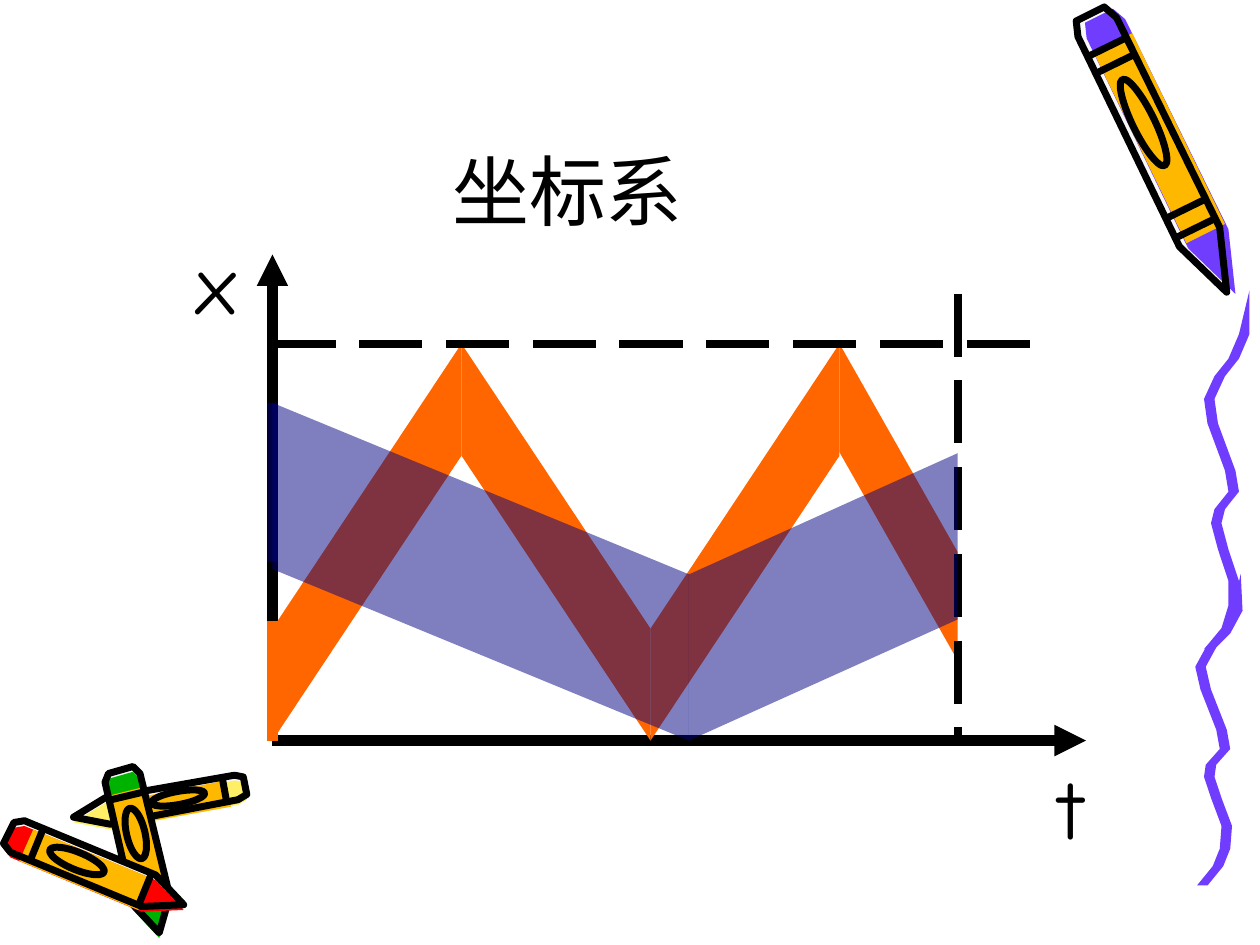
"""Build a slide with two zigzag bands in an x-t coordinate system, framed by crayons."""
from math import atan2, degrees, hypot
from lxml.etree import SubElement
from pptx import Presentation
from pptx.dml.color import RGBColor
from pptx.enum.dml import MSO_LINE as Dash
from pptx.enum.shapes import MSO_CONNECTOR as Connector, MSO_SHAPE as Shape
from pptx.enum.text import MSO_ANCHOR as Anchor, MSO_AUTO_SIZE as AutoSize, PP_ALIGN as Align
from pptx.oxml.ns import qn
from pptx.util import Pt

BLACK, ORANGE, NAVY = "000000", "FF6600", "000080"
PURPLE, AMBER, PALE = "703DFF", "FFB800", "F8F8F8"
YELLOW, RED, GREEN = "FFEF66", "FF0000", "00B200"
FONT = "Comic Neue"

TITLE = ("坐标系", (54, 12.24, 540.72, 126))
AXIS_LABELS = [("t", (598.3, 428.4, 67.7, 64.8)), ("x", (105.1, 128.2, 67.7, 64.8))]

ORIGIN_X, BASE_Y, PEAK_Y, END_X = 155.7, 423.2, 196.4, 547.2
AXES = [
    dict(ends=(ORIGIN_X, BASE_Y, 620.6, BASE_Y), arrow=True),
    dict(ends=(ORIGIN_X, BASE_Y, ORIGIN_X, 145.4), arrow=True),
]
LIMITS = [
    dict(ends=(ORIGIN_X, PEAK_Y, 592.6, PEAK_Y), width=4.5, dash=Dash.LONG_DASH),
    dict(ends=(END_X, 167.8, END_X, BASE_Y), width=4.5, dash=Dash.LONG_DASH),
]
ORANGE_EDGE = dict(ends=(ORIGIN_X, 355, ORIGIN_X, BASE_Y), color=ORANGE)
NAVY_EDGE = dict(ends=(ORIGIN_X, 230.4, ORIGIN_X, 321.1), color=NAVY, alpha=50)

ORANGE_BANDS = [
    dict(span=108, top=PEAK_Y, bottom=BASE_Y, thickness=64, rising=True),
    dict(span=108, top=PEAK_Y, bottom=BASE_Y, thickness=64, rising=False),
    dict(span=108, top=PEAK_Y, bottom=BASE_Y, thickness=64, rising=True),
    dict(span=67.5, top=PEAK_Y, bottom=377.4, thickness=62, rising=False),
]
NAVY_BANDS = [
    dict(span=238, top=230.2, bottom=BASE_Y, thickness=95, rising=False),
    dict(span=153.5, top=259, bottom=BASE_Y, thickness=95, rising=True),
]

CRAYONS = [
    dict(tail=(140, 449), tip=(42, 467), half=7.5, color=YELLOW, shift=(0, 3), rings=(0.12,)),
    dict(tail=(69, 440), tip=(91, 533), half=10.5, color=GREEN, shift=(0, 3), rings=(0.16, 0.78)),
    dict(tail=(5, 476), tip=(105, 517), half=10, color=RED, shift=(0, 3), rings=(0.16, 0.78)),
    dict(tail=(623, 8), tip=(701, 167), half=12.5, color=PURPLE, shift=(5, 1),
         rings=(0.12, 0.18, 0.7, 0.77)),
]
SILHOUETTE = [(0, -0.7), (0, 0.7), (0.05, 1), (0.8, 1), (1, 0), (0.8, -1), (0.05, -1)]
WRAPPER = [(0.1, -1), (0.1, 1), (0.78, 1), (0.78, -1)]
OVAL_CENTER, OVAL_LENGTH, OVAL_WIDTH = 0.39, 0.31, 0.5
INK_WIDTH = 4

SQUIGGLE_TOPS = [(713.5, 166.3, 204.5), (709.2, 327.6, 178.6)]
SQUIGGLE_TURNS = [
    (0, 0), (0.12, -2), (0.19, -9), (0.24, -17), (0.3, -23), (0.37, -20), (0.5, -11), (0.56, -9),
    (0.61, -17), (0.65, -18), (0.72, -14), (0.81, -8), (0.88, -9), (0.94, -13), (1, -22),
]
SQUIGGLE_HALF = 3


def paint(fill, color, alpha=None):
    fill.solid()
    fill.fore_color.rgb = RGBColor.from_string(color)
    if alpha:
        for tone in fill._xPr.iter(qn("a:srgbClr")):
            SubElement(tone, qn("a:alpha"), val=str(alpha * 1000))


def apply(target, values):
    for name, value in values.items():
        setattr(target, name, value)


def finish(shape, color=None, alpha=None, ink=None):
    shape.shadow.inherit = False
    for fill, tone, strength in ((shape.fill, color, alpha), (shape.line.fill, ink, None)):
        if tone:
            paint(fill, tone, strength)
        else:
            fill.background()
    if ink:
        shape.line.width = Pt(INK_WIDTH)


def write(frame, text, size, frame_format, paragraph_format):
    apply(frame, dict(word_wrap=True, **frame_format))
    paragraph = frame.paragraphs[0]
    apply(paragraph, paragraph_format)
    run = paragraph.add_run()
    run.text = text
    apply(run.font, dict(size=Pt(size), name=FONT))
    paint(run.font.fill, BLACK)


def add_line(shapes, ends, color=BLACK, width=6, dash=None, alpha=None, arrow=False):
    line = shapes.add_connector(Connector.STRAIGHT, *map(Pt, ends))
    apply(line.line, dict(width=Pt(width), dash_style=dash))
    paint(line.line.fill, color, alpha)
    if arrow:
        SubElement(line.line._get_or_add_ln(), qn("a:tailEnd"), type="triangle")
    SubElement(line.element.spPr, qn("a:effectLst"))


def add_outline(shapes, points, **style):
    builder = shapes.build_freeform(*points[0], scale=Pt(1))
    builder.add_line_segments(points[1:], close=True)
    finish(builder.convert_to_shape(), **style)


def add_bands(shapes, bands, color, alpha=None):
    left = ORIGIN_X
    for band in bands:
        span, rise = band["span"], band["bottom"] - band["top"]
        box = (left + (span - rise) / 2, band["top"] + (rise - span) / 2, rise, span)
        stripe = shapes.add_shape(Shape.PARALLELOGRAM, *map(Pt, box))
        stripe.adjustments[0] = (rise - band["thickness"]) / min(rise, span)
        stripe.rotation = 270 if band["rising"] else 90
        if band["rising"]:
            stripe.element.spPr.xfrm.set("flipV", "1")
        finish(stripe, color, alpha)
        left += span


def add_crayon(shapes, tail, tip, half, color, shift, rings):
    """Draw a crayon from parts given as (share of length, share of half width)."""
    run, drop = tip[0] - tail[0], tip[1] - tail[1]
    length = hypot(run, drop)

    def locate(along, across, offset=(0, 0)):
        side = across * half / length
        return (tail[0] + along * run - side * drop + offset[0],
                tail[1] + along * drop + side * run + offset[1])

    layers = [
        (SILHOUETTE, (0, 0), dict(color=PALE)),
        (SILHOUETTE, shift, dict(color=color)),
        (WRAPPER, shift, dict(color=AMBER)),
        (SILHOUETTE, (0, 0), dict(ink=BLACK)),
    ]
    for part, offset, style in layers:
        add_outline(shapes, [locate(*corner, offset) for corner in part], **style)
    for ring in rings:
        add_line(shapes, locate(ring, -1) + locate(ring, 1), width=INK_WIDTH)

    center_x, center_y = locate(OVAL_CENTER, 0)
    oval_length, oval_width = OVAL_LENGTH * length, OVAL_WIDTH * 2 * half
    box = (center_x - oval_length / 2, center_y - oval_width / 2, oval_length, oval_width)
    oval = shapes.add_shape(Shape.OVAL, *map(Pt, box))
    oval.rotation = degrees(atan2(drop, run))
    finish(oval, ink=BLACK)


def add_squiggle(shapes, x, y, height):
    """Draw a ribbon that starts as a point and widens to an even stroke."""
    start, *bends = [(x + sway, y + depth * height) for depth, sway in SQUIGGLE_TURNS]
    right = [(px + SQUIGGLE_HALF, py) for px, py in bends]
    left = [(px - SQUIGGLE_HALF, py) for px, py in reversed(bends)]
    add_outline(shapes, [start] + right + left, color=PURPLE)


def main():
    deck = Presentation()
    apply(deck, dict(slide_width=Pt(720), slide_height=Pt(540)))
    shapes = deck.slides.add_slide(deck.slide_layouts[5]).shapes
    for top in SQUIGGLE_TOPS:
        add_squiggle(shapes, *top)
    for crayon in CRAYONS:
        add_crayon(shapes, **crayon)

    heading, heading_box = TITLE
    apply(shapes.title, dict(zip(("left", "top", "width", "height"), map(Pt, heading_box))))
    write(shapes.title.text_frame, heading, 44,
          dict(vertical_anchor=Anchor.BOTTOM, auto_size=AutoSize.NONE),
          dict(alignment=Align.CENTER))

    for axis in AXES:
        add_line(shapes, **axis)
    add_bands(shapes, ORANGE_BANDS, ORANGE)
    for edge in LIMITS + [ORANGE_EDGE]:
        add_line(shapes, **edge)
    add_bands(shapes, NAVY_BANDS, NAVY, alpha=50)
    add_line(shapes, **NAVY_EDGE)

    for label, box in AXIS_LABELS:
        write(shapes.add_textbox(*map(Pt, box)).text_frame, label, 48,
              dict(auto_size=AutoSize.SHAPE_TO_FIT_TEXT), dict(space_before=Pt(30)))
    deck.save("out.pptx")


if __name__ == "__main__":
    main()
